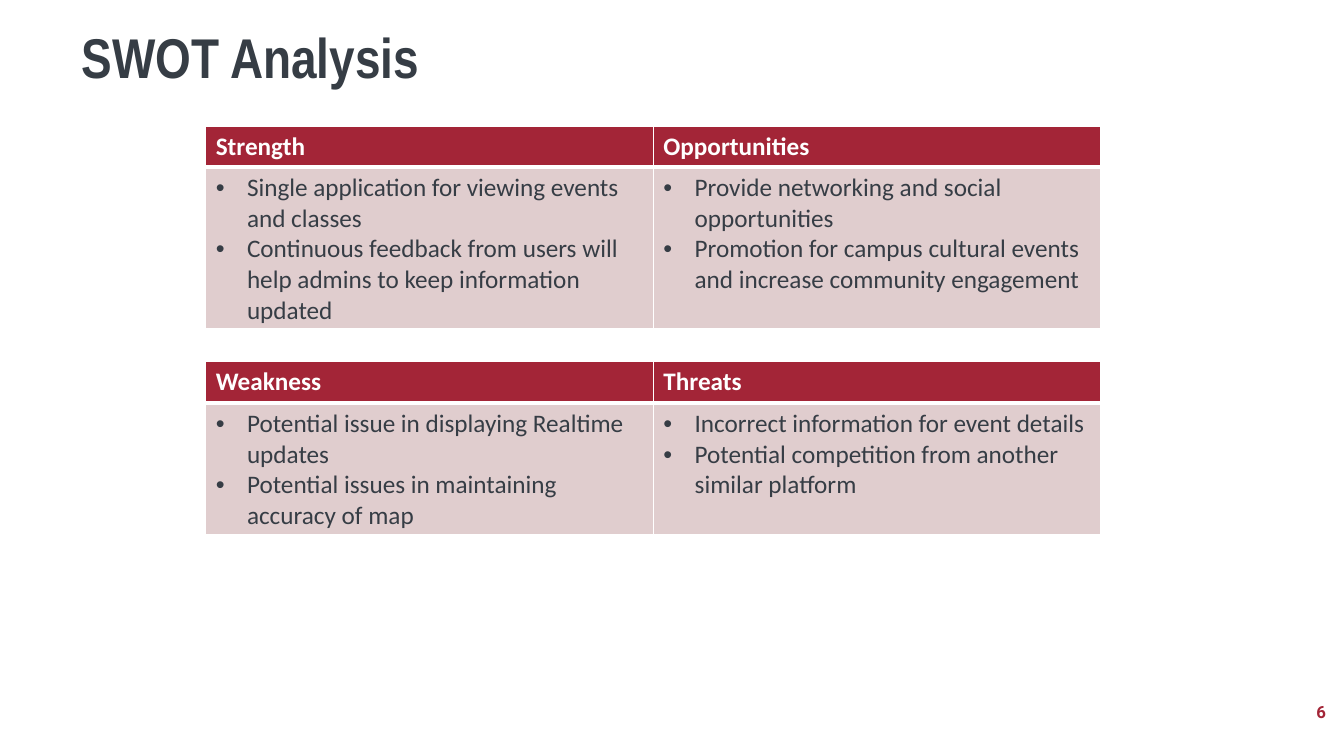
from dataclasses import dataclass

from lxml import etree
from pptx import Presentation
from pptx.dml.color import RGBColor
from pptx.enum.text import MSO_ANCHOR, PP_ALIGN
from pptx.oxml.ns import qn
from pptx.util import Inches, Pt

LEFT, RIGHT = PP_ALIGN.LEFT, PP_ALIGN.RIGHT
TOP, MIDDLE = MSO_ANCHOR.TOP, MSO_ANCHOR.MIDDLE


@dataclass(frozen=True)
class Theme:
    """Colours, fonts and sizes of the slide."""
    red: str = "A32537"
    pink: str = "E0CDCE"
    dark: str = "363D45"
    white: str = "FFFFFF"
    head_font: str = "Arial Narrow"
    body_font: str = "Calibri"
    num_font: str = "Roboto"
    head_size: int = 40
    body_size: int = 18
    num_size: int = 12


THEME = Theme()

SWOT = [
    (3.59 - 2.34, 1.6, {
        "Strength": [
            "Single application for viewing events and classes",
            "Continuous feedback from users will help admins to keep information updated"],
        "Opportunities": [
            "Provide networking and social opportunities",
            "Promotion for campus cultural events and increase community engagement"]}),
    (3.59, 1.3, {
        "Weakness": [
            "Potential issue in displaying Realtime updates",
            "Potential issues in maintaining accuracy of map"],
        "Threats": [
            "Incorrect information for event details",
            "Potential competition from another similar platform"]}),
]


def write(frame, lines, font=THEME.body_font, size=THEME.body_size,
          color=THEME.dark, bold=False, align=LEFT, space=1.0, bullet=False):
    """Fill a text frame with one paragraph per line."""
    frame.word_wrap = True
    for i, line in enumerate(lines):
        para = frame.paragraphs[0] if i == 0 else frame.add_paragraph()
        para.alignment, para.line_spacing = align, space
        run = para.add_run()
        run.text = line
        run.font.name, run.font.size, run.font.bold = font, Pt(size), bold
        run.font.color.rgb = RGBColor.from_string(color)
        if bullet:
            props = para._p.get_or_add_pPr()
            props.set("marL", str(Inches(0.31)))
            props.set("indent", str(-Inches(0.31)))
            etree.SubElement(props, qn("a:buFont"), typeface="Arial")
            etree.SubElement(props, qn("a:buChar"), char="•")


def add_text(slide, box, text, anchor=TOP, **style):
    """Place a text box holding one line."""
    frame = slide.shapes.add_textbox(*map(Inches, box)).text_frame
    frame.vertical_anchor = anchor
    write(frame, [text], **style)


def paint(cell, fill, top=1, bottom=1):
    """Give a cell its white borders and its fill."""
    props = cell._tc.get_or_add_tcPr()
    for side, width in zip("LRTB", (1, 1, top, bottom)):
        line = etree.SubElement(props, qn(f"a:ln{side}"), w=str(Pt(width)))
        solid = etree.SubElement(line, qn("a:solidFill"))
        etree.SubElement(solid, qn("a:srgbClr"), val=THEME.white)
    cell.fill.solid()
    cell.fill.fore_color.rgb = RGBColor.from_string(fill)


def add_pair(slide, box, parts, head=0.41):
    """Place a table with one heading and bullet list per column."""
    table = slide.shapes.add_table(2, len(parts), *map(Inches, box)).table
    table.rows[0].height = Inches(head)
    table.rows[1].height = Inches(box[3] - head)
    for col, (name, points) in enumerate(parts.items()):
        table.columns[col].width = Inches(box[2] / len(parts))
        title, body = table.cell(0, col), table.cell(1, col)
        paint(title, THEME.red, bottom=3)
        paint(body, THEME.pink, top=3)
        write(title.text_frame, [name], color=THEME.white, bold=True)
        write(body.text_frame, points, bullet=True)


def build():
    """Build the slide and save it."""
    deck = Presentation()
    deck.slide_width, deck.slide_height = Inches(13.33), Inches(7.5)
    slide = deck.slides.add_slide(deck.slide_layouts[6])
    add_text(slide, (0.71, 0.25, 11.71, 0.8), "SWOT Analysis", bold=True,
             font=THEME.head_font, size=THEME.head_size, space=0.9)
    add_text(slide, (10.25, 6.86, 3, 0.4), "6", anchor=MIDDLE, bold=True,
             font=THEME.num_font, size=THEME.num_size, color=THEME.red, align=RIGHT)
    for top, depth, parts in SWOT:
        add_pair(slide, (2.04, top, 8.88, 0.41 + depth), parts)
    deck.save("out.pptx")


if __name__ == "__main__":
    build()
